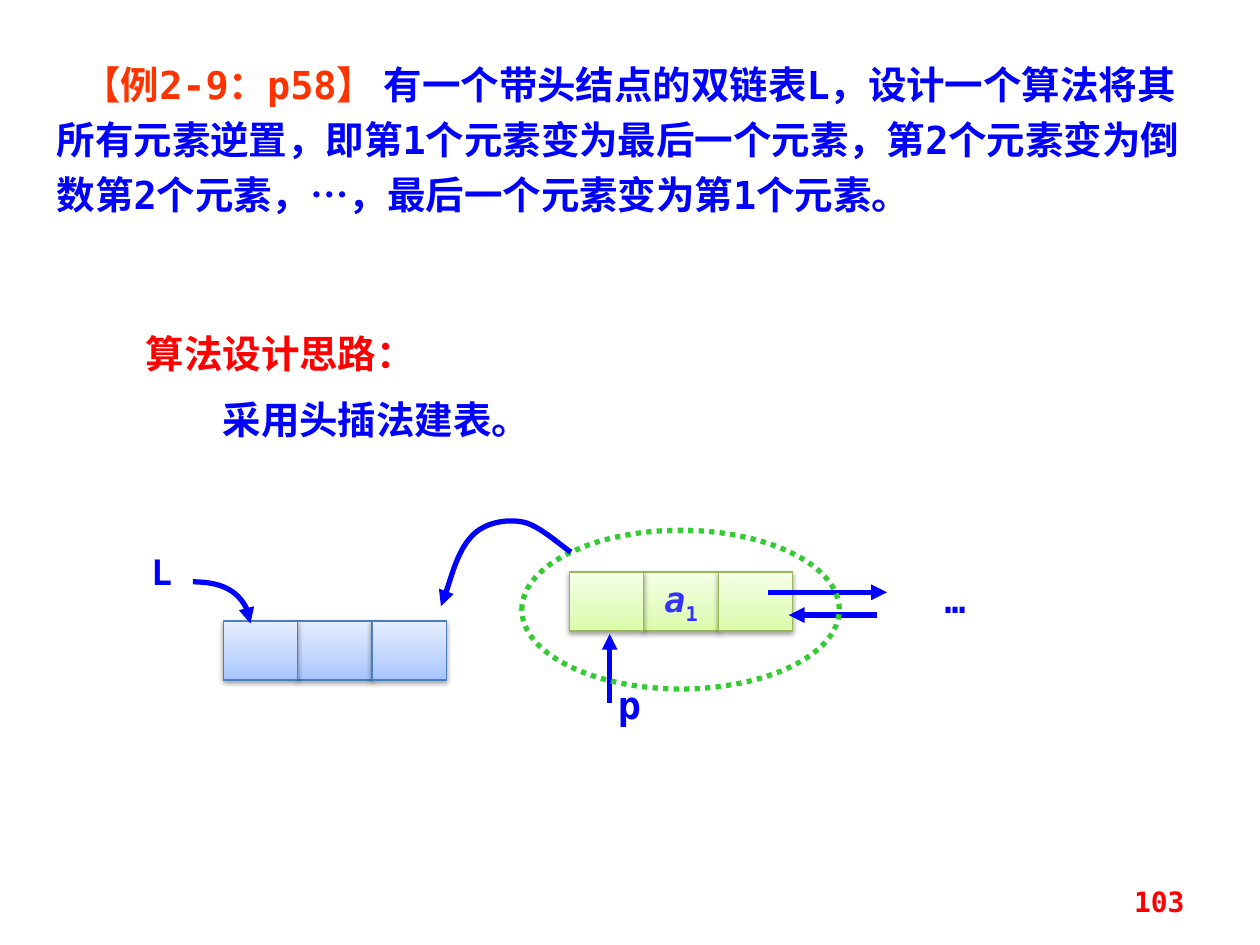
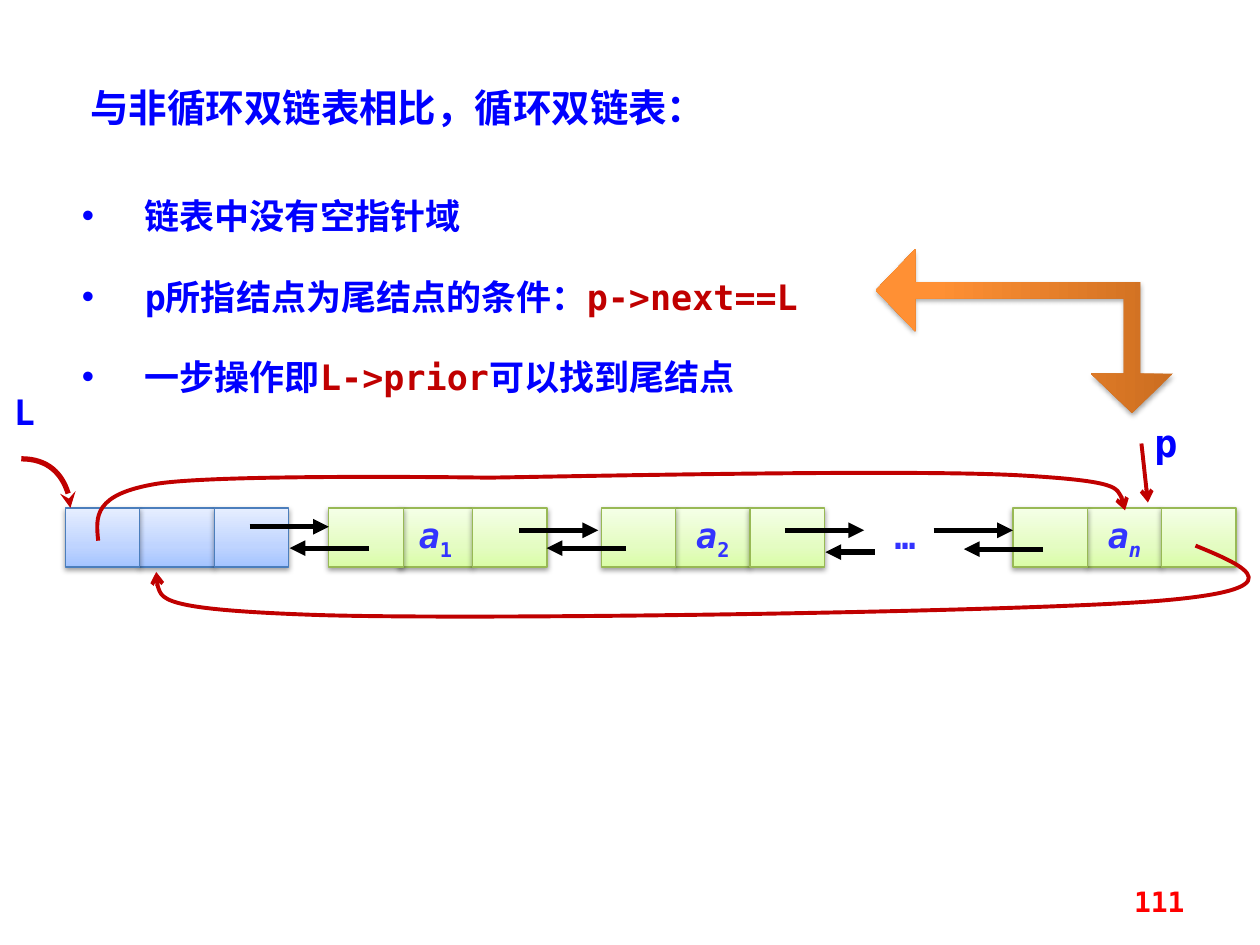
from collections import namedtuple

from lxml.etree import SubElement
from pptx import Presentation
from pptx.dml.color import RGBColor
from pptx.enum.dml import MSO_LINE
from pptx.enum.shapes import MSO_CONNECTOR, MSO_SHAPE
from pptx.enum.text import MSO_ANCHOR, MSO_AUTO_SIZE, PP_ALIGN
from pptx.oxml.ns import qn
from pptx.util import Cm, Pt

COLOURS = {
    "blue": "0000FF",
    "label": "3333FF",
    "red": "FF0000",
    "orange": "FF3300",
    "crimson": "C00000",
    "green": "33CC33",
    "black": "000000",
    "head_edge": "4B7EBC",
    "item_edge": "98B955",
}
GRADIENTS = {
    "head": ((0, "A4C4FF"), (35, "BFD4FF"), (100, "E6EEFF")),
    "item": ((0, "DAFDA7"), (35, "E4FCC2"), (100, "F5FFE7")),
    "turn": ((0, "CC6E20"), (80, "FF9034"), (100, "FF9136")),
}
FONT = "DejaVu Sans Mono"
TITLE_ONLY = 5
CELL_WIDTH, CELL_HEIGHT = 1.5, 1.19

Span = namedtuple("Span", "text colour italic sub", defaults=(None, None, False))
Line = namedtuple("Line", "spans colour margin indent bullet", defaults=("blue", 0, 0, None))


def rgb(name):
    return RGBColor.from_string(COLOURS[name])


class ListDeck:
    def __init__(self):
        self.deck = Presentation()
        self.deck.slide_width, self.deck.slide_height = Cm(25.4), Cm(19.05)
        self.page = None

    def new_page(self, number):
        self.page = self.deck.slides.add_slide(self.deck.slide_layouts[TITLE_ONLY])
        self.text((18.21, 17.65, 5.92, 1.02), [Line([Span(number)], "red")], 16,
                  align=PP_ALIGN.RIGHT, anchor=MSO_ANCHOR.MIDDLE)

    def title(self, place, line, spacing=None):
        box = self.page.shapes.title
        box.left, box.top, box.width, box.height = map(Cm, place)
        self.fill_text(box, [line], 22, spacing=spacing)

    def text(self, place, lines, size=20, inset=True, **style):
        box = self.page.shapes.add_textbox(*map(Cm, place))
        frame = box.text_frame
        if not inset:
            frame.margin_left = frame.margin_right = 0
            frame.margin_top = frame.margin_bottom = 0
        self.fill_text(box, lines, size, **style)

    def caption(self, place, text, size=20, colour="blue", inset=True):
        self.text(place, [Line([Span(text)], colour)], size, inset, align=PP_ALIGN.CENTER)

    def fill_text(self, box, lines, size, align=PP_ALIGN.LEFT, anchor=MSO_ANCHOR.TOP,
                  spacing=None, wrap=True):
        frame = box.text_frame
        frame.word_wrap = wrap
        frame.auto_size = MSO_AUTO_SIZE.NONE
        frame.vertical_anchor = anchor
        for index, line in enumerate(lines):
            para = frame.add_paragraph() if index else frame.paragraphs[0]
            para.alignment = align
            if spacing:
                para.line_spacing = spacing
            if index:
                para.space_before = Pt(size / 2)
            self.indent(para, line)
            font = para.font
            font.name, font.size, font.bold = FONT, Pt(size), True
            font.color.rgb = rgb(line.colour)
            for span in line.spans:
                self.add_span(para, span)

    def indent(self, para, line):
        props = para._p.get_or_add_pPr()
        props.set("marL", str(Cm(line.margin)))
        props.set("indent", str(Cm(line.indent)))
        if line.bullet:
            SubElement(props, qn("a:buFont"), typeface="Arial")
            SubElement(props, qn("a:buChar"), char=line.bullet)

    def add_span(self, para, span):
        run = para.add_run()
        run.text = span.text
        if span.colour:
            run.font.color.rgb = rgb(span.colour)
        if span.italic is not None:
            run.font.italic = span.italic
        if span.sub:
            run._r.get_or_add_rPr().set("baseline", "-25000")

    def shade(self, shape, gradient, alpha, distance):
        shape.fill.gradient()
        shape.fill.gradient_angle = 90
        stops = shape._element.find(".//" + qn("a:gsLst"))
        for stop in list(stops):
            stops.remove(stop)
        for position, colour in GRADIENTS[gradient]:
            stop = SubElement(stops, qn("a:gs"), pos=str(position * 1000))
            SubElement(stop, qn("a:srgbClr"), val=colour)
        shape.shadow.inherit = False
        effects = shape._element.find(".//" + qn("a:effectLst"))
        shadow = SubElement(effects, qn("a:outerShdw"), blurRad=str(Pt(3.1)),
                            dist=str(Pt(distance)), dir="5400000", rotWithShape="0")
        tint = SubElement(shadow, qn("a:srgbClr"), val=COLOURS["black"])
        SubElement(tint, qn("a:alpha"), val=str(alpha * 1000))

    def stroke(self, shape, colour, width, head=None):
        shape.line.color.rgb = rgb(colour)
        shape.line.width = Pt(width)
        if head:
            outline = shape._element.find(".//" + qn("a:ln"))
            SubElement(outline, qn("a:tailEnd"), type=head)

    def node(self, left, top, kind="item", sub=None, sub_italic=False, overlap=0):
        for index in (1, 2, 0):
            shift = index * CELL_WIDTH - (overlap if index else 0)
            cell = self.page.shapes.add_shape(
                MSO_SHAPE.RECTANGLE, Cm(left + shift), Cm(top), Cm(CELL_WIDTH), Cm(CELL_HEIGHT))
            self.shade(cell, kind, 38, 1.6)
            self.stroke(cell, kind + "_edge", 0.75)
            if index == 1 and sub:
                spans = [Span("a", italic=True), Span(sub, italic=sub_italic, sub=True)]
                self.fill_text(cell, [Line(spans, "label")], 20, PP_ALIGN.CENTER,
                               MSO_ANCHOR.MIDDLE, wrap=False)

    def arrow(self, start, end, colour="blue", width=3, head="triangle"):
        link = self.page.shapes.add_connector(
            MSO_CONNECTOR.STRAIGHT, *map(Cm, start), *map(Cm, end))
        self.stroke(link, colour, width, head)
        SubElement(link._element.spPr, qn("a:effectLst"))

    def curve(self, points, colour, width=3, head="triangle"):
        first, *rest = [(Cm(x), Cm(y)) for x, y in points]
        builder = self.page.shapes.build_freeform(*first)
        builder.add_line_segments(rest, close=False)
        shape = builder.convert_to_shape()
        segments = list(shape._element.iter(qn("a:lnTo")))
        for start in range(0, len(segments), 3):
            bend, *extras = segments[start:start + 3]
            bend.tag = qn("a:cubicBezTo")
            for extra in extras:
                bend.append(extra[0])
                extra.getparent().remove(extra)
        shape.fill.background()
        shape.shadow.inherit = False
        self.stroke(shape, colour, width, head)

    def dotted_ellipse(self, place):
        ring = self.page.shapes.add_shape(MSO_SHAPE.OVAL, *map(Cm, place))
        ring.fill.background()
        ring.shadow.inherit = False
        self.stroke(ring, "green", 3)
        ring.line.dash_style = MSO_LINE.ROUND_DOT

    def turn_arrow(self, place, adjustments):
        turn = self.page.shapes.add_shape(MSO_SHAPE.LEFT_UP_ARROW, *map(Cm, place))
        turn.rotation = 270
        for index, value in enumerate(adjustments):
            turn.adjustments[index] = value
        self.shade(turn, "turn", 35, 1.8)
        turn.line.fill.background()


def build_reversal(show):
    show.new_page("103")
    show.title((0.89, 0.91, 23.39, 3.63), Line([
        Span("【例2-9：p58】 ", "orange"),
        Span("有一个带头结点的双链表L，设计一个算法将其所有元素逆置，即第1个元素变为最后一个元素，"
             "第2个元素变为倒数第2个元素，…，最后一个元素变为第1个元素。"),
    ], indent=0.52), spacing=1.2)
    show.text((2.69, 6.53, 10.01, 2.62), [
        Line([Span("算法设计思路：")], "red"),
        Line([Span("采用头插法建表。")], indent=1.55),
    ], 22)
    show.node(4.5, 12.52, "head")
    show.node(11.48, 11.53, sub="1")
    show.curve([(3.89, 11.73), (4.55, 11.73), (5.05, 12.12), (5.05, 12.57)], "blue")
    show.caption((2.46, 11.1, 1.6, 1.02), "L", inset=False)
    show.caption((11.89, 13.72, 1.6, 0.94), "p", 22, inset=False)
    show.arrow((12.29, 14.17), (12.29, 12.78))
    show.arrow((15.49, 11.94), (17.88, 11.94))
    show.arrow((17.68, 12.4), (15.9, 12.4))
    show.caption((18.06, 11.66, 2.39, 1.02), "…", inset=False)
    show.dotted_ellipse((10.52, 10.69, 6.4, 3.2))
    show.curve([(11.51, 11.13), (11.33, 11.02), (10.85, 10.57), (10.52, 10.52),
                (10.19, 10.46), (9.75, 10.54), (9.5, 10.82),
                (9.22, 11.13), (9.02, 11.91), (8.89, 12.22)], "blue")


def build_circular(show):
    show.new_page("111")
    show.title((1.57, 1.57, 15.09, 1.19), Line([Span("与非循环双链表相比，循环双链表：")]))
    points = [
        [Span("链表中没有空指针域")],
        [Span("p所指结点为尾结点的条件："), Span("p->next==L", "crimson")],
        [Span("一步操作即"), Span("L->prior", "crimson"), Span("可以找到尾结点")],
    ]
    show.text((1.4, 3.38, 17.65, 4.11),
              [Line(spans, margin=1.27, indent=-1.27, bullet="•") for spans in points],
              spacing=1.5)
    show.text((0.03, 7.75, 1.19, 1.27), [Line([Span("L")])])

    row = 10.24
    show.node(1.32, row, "head")
    show.node(6.63, row, sub="1", overlap=0.1)
    show.node(12.12, row, sub="2")
    show.node(20.42, row, sub="n", sub_italic=True)
    show.caption((17.45, row, 1.6, 1.27), "…", colour="label")
    for left, top in ((5.03, 10.62), (10.46, 10.69), (15.82, 10.69), (18.82, 10.69)):
        show.arrow((left, top), (left + 1.6, top), "black")
    for right, top, length in ((7.44, 11.05, 1.6), (12.62, 11.05, 1.6),
                               (17.63, 11.13, 0.99), (21.03, 11.07, 1.6)):
        show.arrow((right, top), (right - length, top), "black")

    show.curve([(0.43, 9.25), (0.97, 9.25), (1.42, 9.7), (1.42, row)], "crimson", head="stealth")
    show.curve([(24.1, 11), (25.15, 11.43), (26.19, 11.89), (23.27, 12.12),
                (20.32, 12.34), (9.8, 12.5), (6.45, 12.4),
                (3.1, 12.29), (3.12, 11.91), (3.15, 11.53)], "crimson", 2.25, "arrow")
    show.curve([(1.98, 10.9), (1.93, 10.41), (1.88, 9.96), (3.18, 9.75),
                (4.5, 9.55), (9.86, 9.63), (9.86, 9.63),
                (12.73, 9.58), (18.36, 9.47), (20.5, 9.58),
                (22.63, 9.7), (22.66, 9.98), (22.68, 10.29)], "crimson", 2.25, "arrow")
    show.arrow((23.01, 8.94), (23.14, 10.13), "crimson", 2.25, "arrow")
    show.caption((23.01, 8.33, 0.99, 1.19), "p", 22)
    show.turn_arrow((19, 3.68, 3.3, 5.99), (0.1, 0.25, 0.24))


def main():
    show = ListDeck()
    build_reversal(show)
    build_circular(show)
    show.deck.save("out.pptx")


if __name__ == "__main__":
    main()
